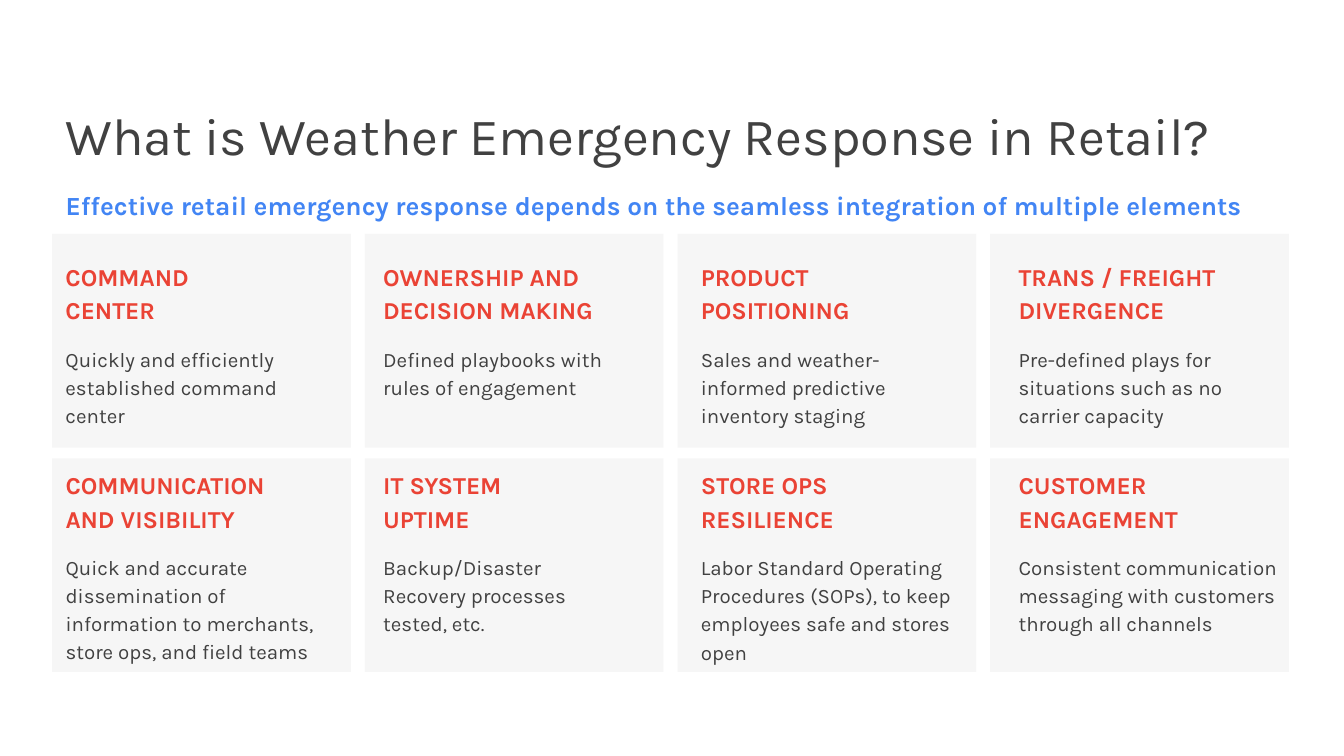
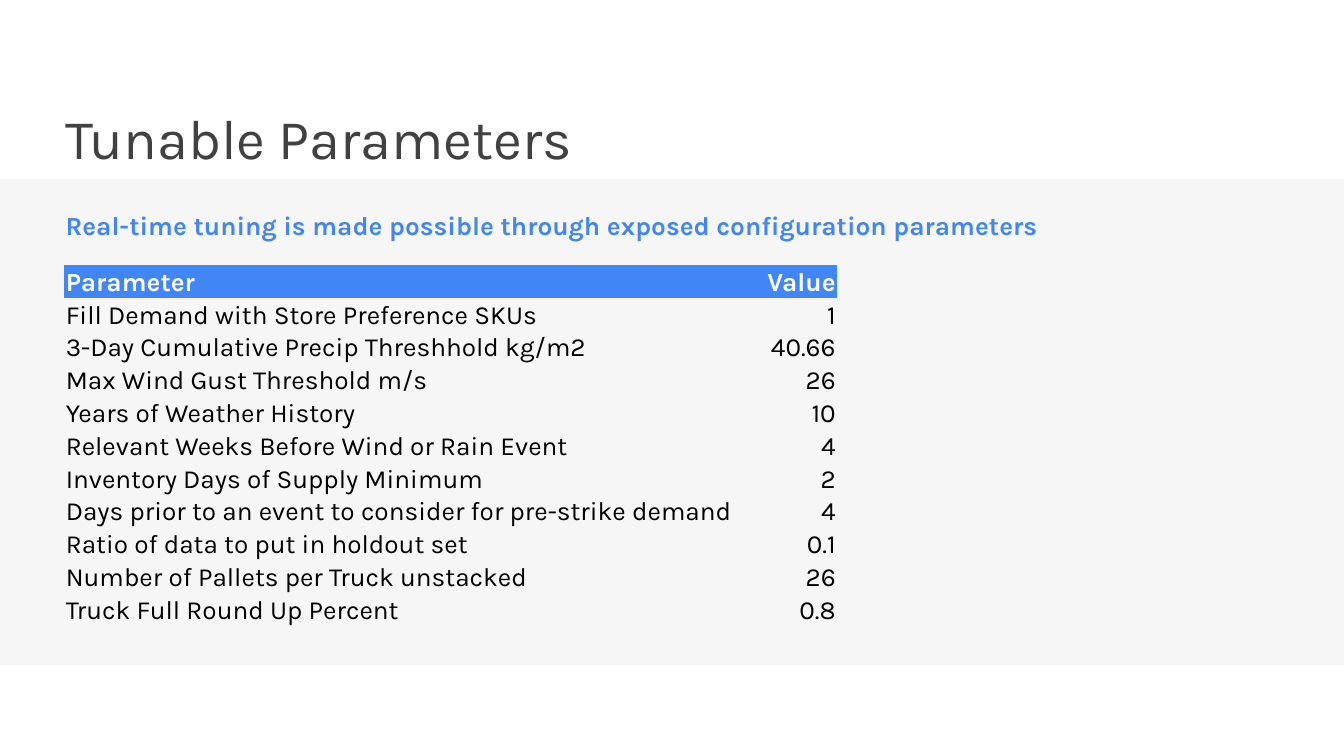
from pptx import Presentation
from pptx.dml.color import RGBColor
from pptx.enum import shapes, text
from pptx.oxml import ns
from pptx.util import Pt

GREY, BLUE, RED, INK = "F6F6F6", "4285F4", "EA4335", "414141"
WHITE, BLACK = "FFFFFF", "000000"
TITLE = dict(size=28, color=INK)
SUBTITLE = dict(size=14, color=BLUE, bold=True)
HEADING = dict(size=13, color=RED, bold=True, line_spacing=1.14)
DETAIL = dict(size=11, color=INK, line_spacing=1.14, space_before=Pt(10))
HEADER = dict(size=14, color=WHITE, bold=True)
ENTRY = dict(size=14, color=BLACK)


def color(fmt, value):
    if hasattr(fmt, "solid"):
        fmt.solid()
        fmt.fore_color.rgb = RGBColor.from_string(value)
    else:
        fmt.color.rgb = RGBColor.from_string(value)


def write(tf, lines, inset=(7.2, 7.2, 7.2, 7.2)):
    tf.word_wrap = True
    for side, gap in zip(("left", "top", "right", "bottom"), inset):
        setattr(tf, f"margin_{side}", Pt(gap))
    for i, (words, look) in enumerate(lines):
        p = tf.add_paragraph() if i else tf.paragraphs[0]
        r = p.add_run()
        r.text = words
        values = dict(name="Karla", bold=False) | look
        color(r.font, values.pop("color"))
        values["size"] = Pt(values["size"])
        for key, value in values.items():
            setattr(r.font if key in ("name", "size", "bold") else p, key, value)


prs = Presentation()
prs.slide_width, prs.slide_height = Pt(720), Pt(405)

elements = [
    (["COMMAND", "CENTER"], "Quickly and efficiently established command center", 160, 78.5),
    (["OWNERSHIP AND DECISION MAKING"], "Defined playbooks with rules of engagement", 144, 78.5),
    (["PRODUCT POSITIONING"], "Sales and weather-informed predictive inventory staging", 150, 78.5),
    (["TRANS / FREIGHT", "DIVERGENCE"],
     "Pre-defined plays for situations such as no carrier capacity", 144, 78.5),
    (["COMMUNICATION", "AND VISIBILITY"],
     "Quick and accurate dissemination of information to merchants, store ops, and field teams",
     151, 122.5),
    (["IT SYSTEM", "UPTIME"], "Backup/Disaster Recovery processes tested, etc.", 137, 78.5),
    (["STORE OPS", "RESILIENCE"],
     "Labor Standard Operating Procedures (SOPs), to keep employees safe and stores open",
     150, 137),
    (["CUSTOMER", "ENGAGEMENT"],
     "Consistent communication messaging with customers through all channels", 160.5, 78.5),
]
parameters = [
    ("Parameter", "Value"),
    ("Fill Demand with Store Preference SKUs", "1"),
    ("3-Day Cumulative Precip Threshhold kg/m2", "40.66"),
    ("Max Wind Gust Threshold m/s", "26"),
    ("Years of Weather History", "10"),
    ("Relevant Weeks Before Wind or Rain Event", "4"),
    ("Inventory Days of Supply Minimum", "2"),
    ("Days prior to an event to consider for pre-strike demand", "4"),
    ("Ratio of data to put in holdout set", "0.1"),
    ("Number of Pallets per Truck unstacked", "26"),
    ("Truck Full Round Up Percent", "0.8"),
]
cards = [(28 + 167.5 * (i % 4), 125.3 + 120.2 * (i // 4), 160, 114.5) for i in range(8)]
pages = [
    ("What is Weather Emergency Response in Retail?", TITLE, 680,
     "Effective retail emergency response depends on the seamless integration of multiple elements",
     94.3, 7.2, cards),
    ("Tunable Parameters", TITLE | dict(size=30), 621.5,
     "Real-time tuning is made possible through exposed configuration parameters",
     108.7, 3.6, [(0, 95.8, 720, 260.5)]),
]

for title, look, width, subtitle, top, inset, panels in pages:
    s = prs.slides.add_slide(prs.slide_layouts[6])
    for box in panels:
        sp = s.shapes.add_shape(shapes.MSO_SHAPE.RECTANGLE, *map(Pt, box))
        sp.shadow.inherit = False
        color(sp.fill, GREY)
        sp.line.fill.background()
    sp = s.shapes.add_textbox(Pt(28), Pt(48.2), Pt(width), Pt(44))
    write(sp.text_frame, [(title, look)])
    sp = s.shapes.add_textbox(Pt(28), Pt(top), Pt(680), Pt(28))
    write(sp.text_frame, [(subtitle, SUBTITLE)], (7.2, inset, 7.2, inset))

s = prs.slides[0]
for i, (heading, detail, width, height) in enumerate(elements):
    left, top = 28 + 170.2 * (i % 4), 131 + 111.8 * (i // 4)
    sp = s.shapes.add_textbox(Pt(left), Pt(top), Pt(width), Pt(height))
    write(sp.text_frame, [(line, HEADING) for line in heading] + [(detail, DETAIL)])

s = prs.slides[1]
gf = s.shapes.add_table(len(parameters), 2, Pt(34.5), Pt(142), Pt(414), Pt(14.4 * len(parameters)))
for style in gf.element.iter(ns.qn("a:tableStyleId")):
    style.text = "{2D5ABB26-0587-4C30-8999-92F81FD0307C}"
table = gf.table
table.first_row = table.horz_banding = False
for column, width in zip(table.columns, (368, 46)):
    column.width = Pt(width)
for i, row in enumerate(parameters):
    for j, words in enumerate(row):
        cell = table.cell(i, j)
        look = ENTRY if i else HEADER
        align = text.PP_ALIGN.RIGHT if j else text.PP_ALIGN.LEFT
        write(cell.text_frame, [(words, look | dict(alignment=align))])
        cell.vertical_anchor = text.MSO_ANCHOR.BOTTOM
        cell.margin_left = cell.margin_top = cell.margin_right = Pt(0.75)
        cell.margin_bottom = Pt(0)
        if i:
            cell.fill.background()
        else:
            color(cell.fill, BLUE)

prs.save("out.pptx")
